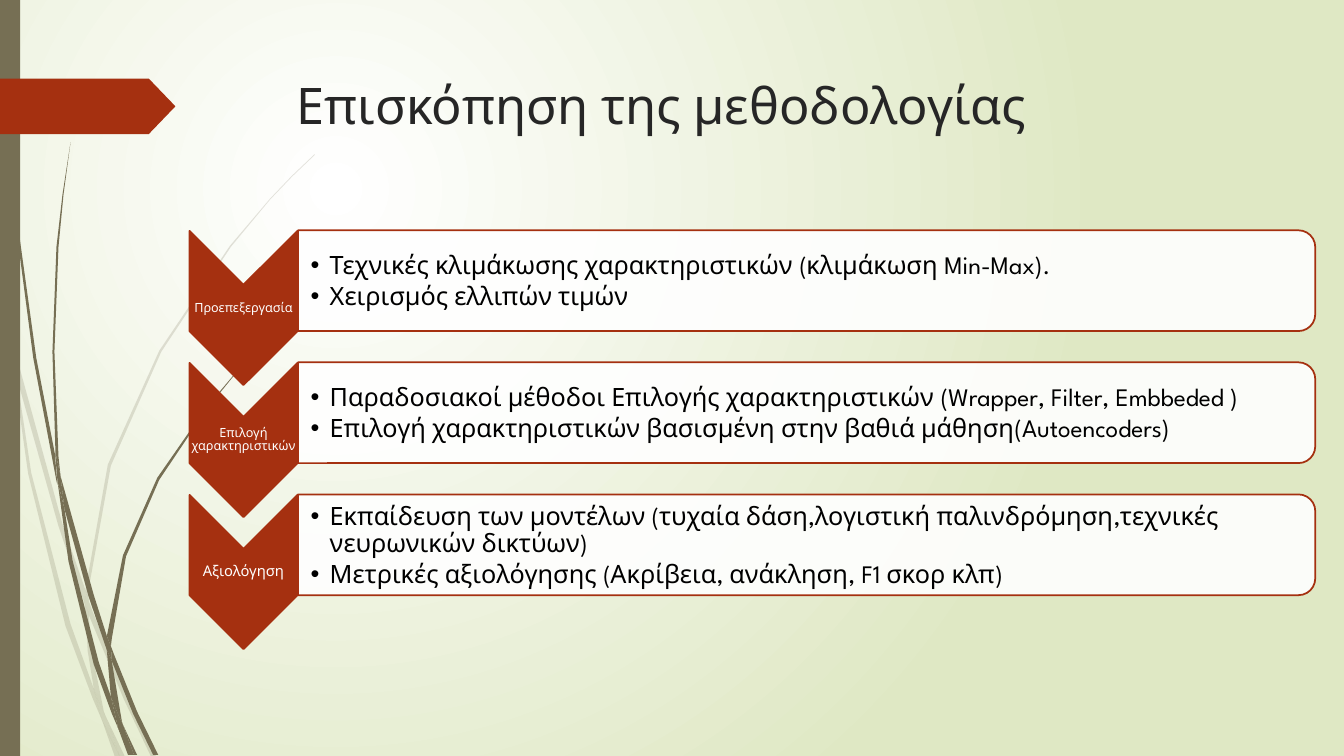
from lxml.etree import SubElement
from pptx import Presentation
from pptx.dml.color import RGBColor
from pptx.enum.shapes import MSO_SHAPE
from pptx.enum.text import MSO_ANCHOR, PP_ALIGN
from pptx.oxml.ns import qn
from pptx.util import Inches, Pt

COLORS = {
    "white": "FFFFFF",
    "pale_green": "DFE8C4",
    "olive": "766F54",
    "rust": "A53010",
    "title": "262626",
    "black": "000000",
}
FONT = "League Spartan"
ROW_TOP = 2.3
ROW_STEP = 1.31

STEPS = [
    ("Προεπεξεργασία", 9, [
        "Τεχνικές κλιμάκωσης χαρακτηριστικών (κλιμάκωση Min-Max).",
        "Χειρισμός ελλιπών τιμών",
    ]),
    ("Επιλογή χαρακτηριστικών", 9, [
        "Παραδοσιακοί μέθοδοι Επιλογής χαρακτηριστικών (Wrapper, Filter, Embbeded )",
        "Επιλογή χαρακτηριστικών βασισμένη στην βαθιά μάθηση(Autoencoders)",
    ]),
    ("Αξιολόγηση", 10.5, [
        "Εκπαίδευση των μοντέλων (τυχαία δάση,λογιστική παλινδρόμηση,τεχνικές νευρωνικών δικτύων)",
        "Μετρικές αξιολόγησης (Ακρίβεια, ανάκληση, F1 σκορ κλπ)",
    ]),
]

PALE_BLADES = [
    [(0.11, 3.5), (0.09, 3.22), (0, 2.82), (0, 2.99), (0.1, 3.44)],
    [(0.58, 5.22), (0.84, 5.99), (0.85, 5.86), (0.62, 5.2), (0.14, 3.45), (0.17, 3.76)],
    [(0.92, 6.07), (0.88, 5.96), (0.88, 6.1), (1.23, 6.94), (1.5, 7.51), (1.55, 7.51),
     (1.27, 6.92)],
    [(1.19, 7.51), (1.24, 7.51), (1.05, 7.11)],
    [(0.93, 6.83), (0.7, 6.19), (0.31, 4.69), (0.17, 3.76), (0.11, 3.5), (0.28, 4.7),
     (0.65, 6.21), (0.92, 6.93), (1.01, 7.14), (0.99, 7.07)],
    [(0.84, 5.99), (0.87, 6.46), (0.93, 6.83), (0.96, 6.92), (1.05, 7.11), (1.03, 7.06),
     (0.91, 6.46), (0.88, 6.1), (0.88, 6.08)],
    [(0.88, 5.84), (1.1, 4.62), (1.6, 3.49), (2.29, 2.45), (2.68, 1.98), (2.9, 1.75),
     (3.12, 1.54), (3.12, 1.53), (2.89, 1.75), (2.68, 1.97), (2.28, 2.44), (1.58, 3.48),
     (1.07, 4.61), (0.85, 5.84), (0.85, 5.86), (0.88, 5.96)],
    [(1.01, 7.14), (1.14, 7.51), (1.19, 7.51)],
    [(0.88, 6.08), (0.88, 6.1), (0.88, 5.96), (0.85, 5.86), (0.84, 5.99)],
    [(0.96, 6.92), (0.93, 6.83), (0.99, 7.07), (1.01, 7.14), (1.19, 7.51), (1.05, 7.11)],
]
DARK_BLADES = [
    [(0.07, 1.1), (0.17, 2.33), (0.33, 3.55), (0.56, 4.77), (0.57, 4.81), (0.55, 4.57),
     (0.55, 4.53), (0.36, 3.55), (0.19, 2.32), (0.08, 1.09), (0.05, 0.48), (0.04, 0),
     (0.03, 0), (0.04, 0.48)],
    [(0.88, 5.92), (1.06, 6.45), (1.06, 6.33), (1.06, 6.31), (0.93, 5.9), (0.6, 4.72),
     (0.64, 5.05)],
    [(1.13, 6.49), (1.1, 6.41), (1.11, 6.56), (1.32, 7.08), (1.52, 7.49), (1.57, 7.49),
     (1.36, 7.06)],
    [(1.1, 6.91), (0.98, 6.57), (0.72, 5.56), (0.64, 5.05), (0.57, 4.77), (0.68, 5.57),
     (0.93, 6.59), (1.11, 7.08), (1.17, 7.22), (1.16, 7.17)],
    [(0.6, 4.72), (0.58, 4.53), (0.54, 3.49), (0.58, 2.45), (0.63, 1.93), (0.7, 1.41),
     (0.62, 1.93), (0.56, 2.45), (0.52, 3.49), (0.55, 4.49)],
    [(1.33, 7.49), (1.36, 7.49), (1.22, 7.19)],
    [(0.57, 4.77), (0.64, 5.05), (0.6, 4.72), (0.55, 4.49), (0.55, 4.53)],
    [(1.11, 6.33), (1.25, 5.52), (1.58, 4.76), (2.05, 4.06), (2.31, 3.74), (2.45, 3.59),
     (2.61, 3.44), (2.6, 3.44), (2.45, 3.58), (2.31, 3.73), (2.04, 4.05), (1.56, 4.74),
     (1.22, 5.51), (1.06, 6.31), (1.1, 6.41)],
    [(1.17, 7.22), (1.27, 7.49), (1.31, 7.49)],
    [(1.06, 6.45), (1.1, 6.91), (1.16, 7.06), (1.22, 7.19), (1.21, 7.16), (1.11, 6.56),
     (1.09, 6.51)],
    [(1.06, 6.45), (1.09, 6.51), (1.11, 6.56), (1.1, 6.41), (1.06, 6.31), (1.06, 6.33)],
    [(1.16, 7.06), (1.1, 6.91), (1.16, 7.17), (1.17, 7.22), (1.3, 7.49), (1.33, 7.49),
     (1.22, 7.19)],
]


def rgb(name):
    return RGBColor.from_string(COLORS[name])


def paint(shape, color, opacity=100, line=None):
    shape.shadow.inherit = False
    shape.fill.solid()
    shape.fill.fore_color.rgb = rgb(color)
    if opacity < 100:
        tone = shape._element.spPr.find(qn("a:solidFill"))[0]
        SubElement(tone, qn("a:alpha"), val=str(opacity * 1000))
    if line:
        shape.line.color.rgb = rgb(line)
        shape.line.width = Pt(1.25)
    else:
        shape.line.fill.background()


def add_background(page):
    fill = page.background.fill
    fill.gradient()
    for stop, color in zip(fill.gradient_stops, ("white", "pale_green")):
        stop.color.rgb = rgb(color)
    gradient = next(page._element.iter(qn("a:gradFill")))
    gradient.remove(gradient.find(qn("a:lin")))
    circle = SubElement(gradient, qn("a:path"), path="circle")
    SubElement(circle, qn("a:fillToRect"), l="50000", t="50000", r="100000", b="100000")


def add_blade(page, outline, opacity):
    corners = [(Inches(x), Inches(y)) for x, y in outline]
    builder = page.shapes.build_freeform(*corners[0])
    builder.add_line_segments(corners[1:], close=True)
    paint(builder.convert_to_shape(), "olive", opacity)


def add_shape(page, kind, left, top, width, height, color, rotation=0, **style):
    shape = page.shapes.add_shape(
        kind, Inches(left), Inches(top), Inches(width), Inches(height))
    shape.rotation = rotation
    paint(shape, color, **style)
    return shape


def add_text(page, left, top, width, height, lines, size, color, margins=None,
             align=PP_ALIGN.LEFT, spacing=None, after=0, bullet=False):
    box = page.shapes.add_textbox(
        Inches(left), Inches(top), Inches(width), Inches(height))
    frame = box.text_frame
    frame.word_wrap = True
    if margins:
        frame.vertical_anchor = MSO_ANCHOR.MIDDLE
        (frame.margin_left, frame.margin_top,
         frame.margin_right, frame.margin_bottom) = map(Inches, margins)
    for index, line in enumerate(lines):
        para = frame.add_paragraph() if index else frame.paragraphs[0]
        para.alignment = align
        para.line_spacing = spacing
        para.space_after = Pt(after)
        if bullet:
            properties = para._p.get_or_add_pPr()
            properties.set("marL", str(Inches(0.19)))
            properties.set("indent", str(-Inches(0.19)))
            SubElement(properties, qn("a:buFont"), typeface="Arial")
            SubElement(properties, qn("a:buChar"), char="•")
        span = para.add_run()
        span.text = line
        span.font.name = FONT
        span.font.size = Pt(size)
        span.font.color.rgb = rgb(color)


def add_step(page, top, label, label_size, details):
    chevron = add_shape(page, MSO_SHAPE.CHEVRON, 1.65, top + 0.22, 1.53, 1.07,
                        "rust", rotation=90, line="rust")
    chevron.adjustments[0] = 0.5
    add_text(page, 1.88, top + 0.53, 1.07, 0.45, [label], label_size, "white",
             margins=(0.01, 0.01, 0.01, 0.01), align=PP_ALIGN.CENTER,
             spacing=0.9, after=label_size * 0.35)
    add_shape(page, MSO_SHAPE.ROUND_2_SAME_RECTANGLE, 7.5, top - 4.56, 1, 10.09,
              "white", rotation=90, opacity=90, line="rust")
    add_text(page, 2.94, top + 0.05, 10.05, 0.9, details, 18, "black",
             margins=(0.14, 0.01, 0.01, 0.01), spacing=0.9, after=2.7, bullet=True)


def main():
    deck = Presentation()
    deck.slide_width = Inches(13.33)
    deck.slide_height = Inches(7.5)
    page = deck.slides.add_slide(deck.slide_layouts[6])
    add_background(page)
    for blades, opacity in ((PALE_BLADES, 20), (DARK_BLADES, 100)):
        for outline in blades:
            add_blade(page, outline, opacity)
    add_shape(page, MSO_SHAPE.RECTANGLE, 0, 0, 0.2, 7.5, "olive")
    tag = add_shape(page, MSO_SHAPE.PENTAGON, 0, 0.78, 1.74, 0.55, "rust")
    tag.adjustments[0] = 0.48
    add_text(page, 2.84, 0.69, 9.75, 1.4, ["Επισκόπηση της μεθοδολογίας"], 36, "title")
    for index, (label, label_size, details) in enumerate(STEPS):
        add_step(page, ROW_TOP + index * ROW_STEP, label, label_size, details)
    deck.save("out.pptx")


if __name__ == "__main__":
    main()
